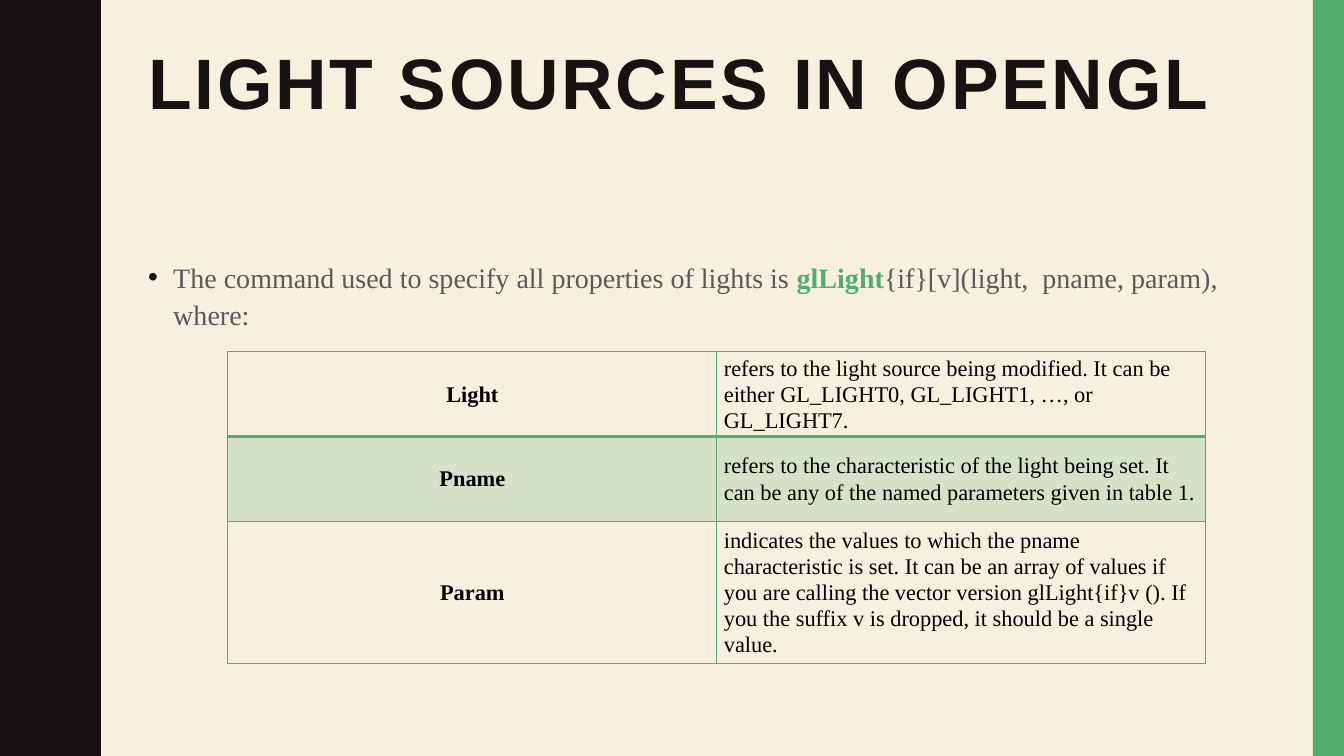
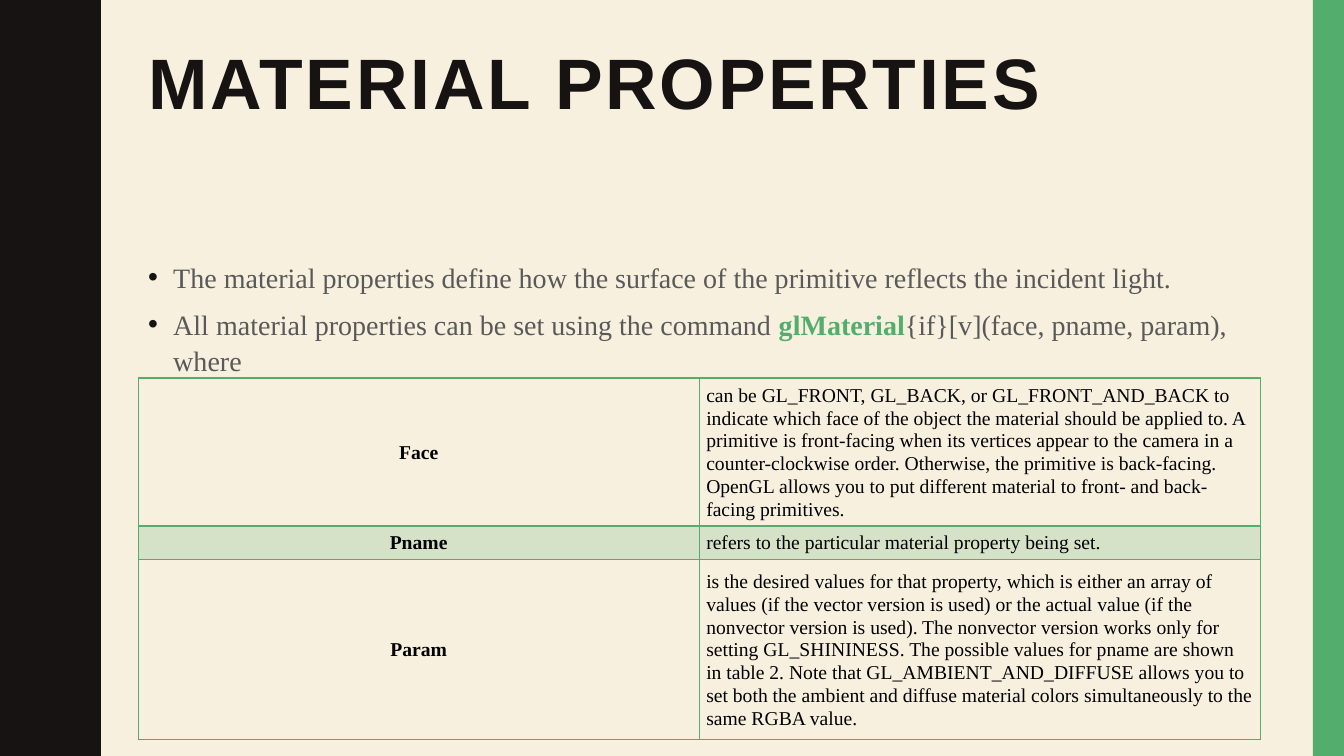
from lxml.etree import SubElement
from pptx import Presentation
from pptx.dml.color import RGBColor
from pptx.enum.shapes import MSO_SHAPE as Shape
from pptx.enum.text import MSO_ANCHOR as Anchor, MSO_AUTO_SIZE as AutoSize, PP_ALIGN as Align
from pptx.oxml.ns import qn
from pptx.util import Inches, Pt

COLORS = {"paper": "F7F0DF", "ink": "171312", "green": "53AE6E",
          "gray": "595959", "black": "000000"}
WIDTH, HEIGHT = 13.33, 7.5
BAR_WIDTH = 0.31
TITLE_BOX = (1.37, 0.42, 11.13, 1.63)
BODY_BOX = (1.37, 2.5, 11.13, 3.93)
TITLE_FONT, TEXT_FONT = "Arial", "Times New Roman"

WAVES = 5
# Edge from trough to crest: x in inches, y as a share of half a wave
HALF_WAVE = [(0.78, 0), (0.78, 0.09), (0.79, 0.19), (0.8, 0.27), (0.81, 0.33),
             (0.83, 0.39), (0.85, 0.44), (0.87, 0.5), (0.89, 0.56), (0.91, 0.61),
             (0.93, 0.67), (0.95, 0.73), (0.96, 0.81), (0.97, 0.91), (0.97, 1)]

SLIDES = [
    {"title": "LIGHT SOURCES IN OPENGL",
     "bullets": [("The command used to specify all properties of lights is ", "glLight",
                  "{if}[v](light,  pname, param), where:")],
     "table_box": (2.26, 3.49, 9.7), "row_heights": (0.84, 0.84, 1.41), "size": 16,
     "rows": [
         ("Light", "refers to the light source being modified. It can be either "
                   "GL_LIGHT0, GL_LIGHT1, …, or GL_LIGHT7."),
         ("Pname", "refers to the characteristic of the light being set. It can be any of "
                   "the named parameters given in table 1."),
         ("Param", "indicates the values to which the pname characteristic is set. It can be "
                   "an array of values if you are calling the vector version glLight{if}v (). "
                   "If you the suffix v is dropped, it should be a single value.")]},
    {"title": "MATERIAL PROPERTIES",
     "bullets": [("The material properties define how the surface of the primitive reflects "
                  "the incident light.",),
                 ("All material properties can be set using the command ", "glMaterial",
                  "{if}[v](face, pname, param), where")],
     "table_box": (1.37, 3.75, 11.13), "row_heights": (1.46, 0.33, 1.79), "size": 14,
     "rows": [
         ("Face", "can be GL_FRONT, GL_BACK, or GL_FRONT_AND_BACK to indicate which face of "
                  "the object the material should be applied to. A primitive is front-facing "
                  "when its vertices appear to the camera in a counter-clockwise order. "
                  "Otherwise, the primitive is back-facing. OpenGL allows you to put different "
                  "material to front- and back-facing primitives."),
         ("Pname", "refers to the particular material property being set."),
         ("Param", "is the desired values for that property, which is either an array of "
                   "values (if the vector version is used) or the actual value (if the "
                   "nonvector version is used). The nonvector version works only for setting "
                   "GL_SHININESS. The possible values for pname are shown in table 2. Note "
                   "that GL_AMBIENT_AND_DIFFUSE allows you to set both the ambient and diffuse "
                   "material colors simultaneously to the same RGBA value.")]},
]


def rgb(name):
    return RGBColor.from_string(COLORS[name])


def inches(lengths):
    return [Inches(length) for length in lengths]


def set_font(font, name, size, color=None, bold=False):
    font.name, font.size, font.bold = name, Pt(size), bold
    if color:
        font.color.rgb = rgb(color)


def paint(shape, color):
    shape.fill.solid()
    shape.fill.fore_color.rgb = rgb(color)
    shape.line.fill.background()
    shape.shadow.inherit = False


def add_bands(page):
    """Wavy dark band on the left, plain green bar on the right."""
    half = HEIGHT / WAVES / 2
    edge = []
    for wave in range(WAVES):
        top = 2 * wave * half
        edge += [(x, top + y * half) for x, y in HALF_WAVE]
        edge += [(x, top + (2 - y) * half) for x, y in reversed(HALF_WAVE)]
    outline = page.shapes.build_freeform(0, 0, scale=Inches(1))
    outline.add_line_segments(edge + [(0, HEIGHT)], close=True)
    paint(outline.convert_to_shape(), "ink")
    bar_box = inches((WIDTH - BAR_WIDTH, 0, BAR_WIDTH, HEIGHT))
    paint(page.shapes.add_shape(Shape.RECTANGLE, *bar_box), "green")


def fill_title(page, text):
    title = page.shapes.title
    title.left, title.top, title.width, title.height = inches(TITLE_BOX)
    frame = title.text_frame
    frame.text = text
    frame.word_wrap, frame.auto_size = True, AutoSize.NONE
    frame.vertical_anchor = Anchor.TOP
    para = frame.paragraphs[0]
    para.alignment, para.line_spacing = Align.LEFT, 0.9
    set_font(para.font, TITLE_FONT, 51, "ink", bold=True)
    para.runs[0]._r.get_or_add_rPr().set("spc", "200")


def add_bullet_mark(para):
    props = para._p.get_or_add_pPr()
    props.set("marL", str(Inches(0.25)))
    props.set("indent", str(-Inches(0.25)))
    mark_color = SubElement(props, qn("a:buClr"))
    SubElement(mark_color, qn("a:srgbClr"), val=COLORS["ink"])
    SubElement(props, qn("a:buFont"), typeface="Arial")
    SubElement(props, qn("a:buChar"), char="•")


def add_bullets(page, bullets):
    """Each bullet is its text parts; the second part is the command name."""
    frame = page.shapes.add_textbox(*inches(BODY_BOX)).text_frame
    frame.word_wrap = True
    for index, parts in enumerate(bullets):
        para = frame.add_paragraph() if index else frame.paragraphs[0]
        add_bullet_mark(para)
        para.line_spacing = 1.1
        if index:
            para.space_before = Pt(7)
        set_font(para.font, TEXT_FONT, 20)
        for position, part in enumerate(parts):
            span = para.add_run()
            span.text = part
            is_command = position == 1
            span.font.bold = is_command
            span.font.color.rgb = rgb("green" if is_command else "gray")


def set_borders(cell, **widths):
    props = cell._tc.get_or_add_tcPr()
    for side in "LRTB":
        line = SubElement(props, qn(f"a:ln{side}"), w=str(Pt(widths.get(side, 1))))
        fill = SubElement(line, qn("a:solidFill"))
        SubElement(fill, qn("a:srgbClr"), val=COLORS["green"])


def tint(cell):
    """Fill the cell with green at 20% opacity."""
    cell.fill.solid()
    cell.fill.fore_color.rgb = rgb("green")
    color = cell._tc.tcPr.find(f"{qn('a:solidFill')}/{qn('a:srgbClr')}")
    SubElement(color, qn("a:alpha"), val="20000")


def fill_cell(cell, text, size, is_term):
    cell.text = text
    cell.vertical_anchor = Anchor.MIDDLE
    cell.margin_left = cell.margin_right = Inches(0.07)
    cell.margin_top = cell.margin_bottom = 0
    para = cell.text_frame.paragraphs[0]
    para.alignment = Align.CENTER if is_term else Align.LEFT
    para.line_spacing = 1.05
    set_font(para.font, TEXT_FONT, size, "black", bold=is_term)


def add_term_table(page, box, row_heights, rows, size):
    left, top, width = box
    frame = page.shapes.add_table(len(rows), 2, *inches((left, top, width, sum(row_heights))))
    table = frame.table
    table.first_row = table.horz_banding = False
    for column in table.columns:
        column.width = Inches(width / 2)
    for index, (texts, height) in enumerate(zip(rows, row_heights)):
        table.rows[index].height = Inches(height)
        for column, text in enumerate(texts):
            cell = table.cell(index, column)
            fill_cell(cell, text, size, is_term=column == 0)
            set_borders(cell, B=2 if index == 0 else 1, T=2 if index == 1 else 1)
            if index % 2:
                tint(cell)
            else:
                cell.fill.background()


def add_command_slide(deck, content):
    page = deck.slides.add_slide(deck.slide_layouts.get_by_name("Title Only"))
    add_bands(page)
    fill_title(page, content["title"])
    add_bullets(page, content["bullets"])
    add_term_table(page, content["table_box"], content["row_heights"],
                   content["rows"], content["size"])


def main():
    deck = Presentation()
    deck.slide_width, deck.slide_height = inches((WIDTH, HEIGHT))
    backdrop = deck.slide_master.background.fill
    backdrop.solid()
    backdrop.fore_color.rgb = rgb("paper")
    for content in SLIDES:
        add_command_slide(deck, content)
    deck.save("out.pptx")


if __name__ == "__main__":
    main()
